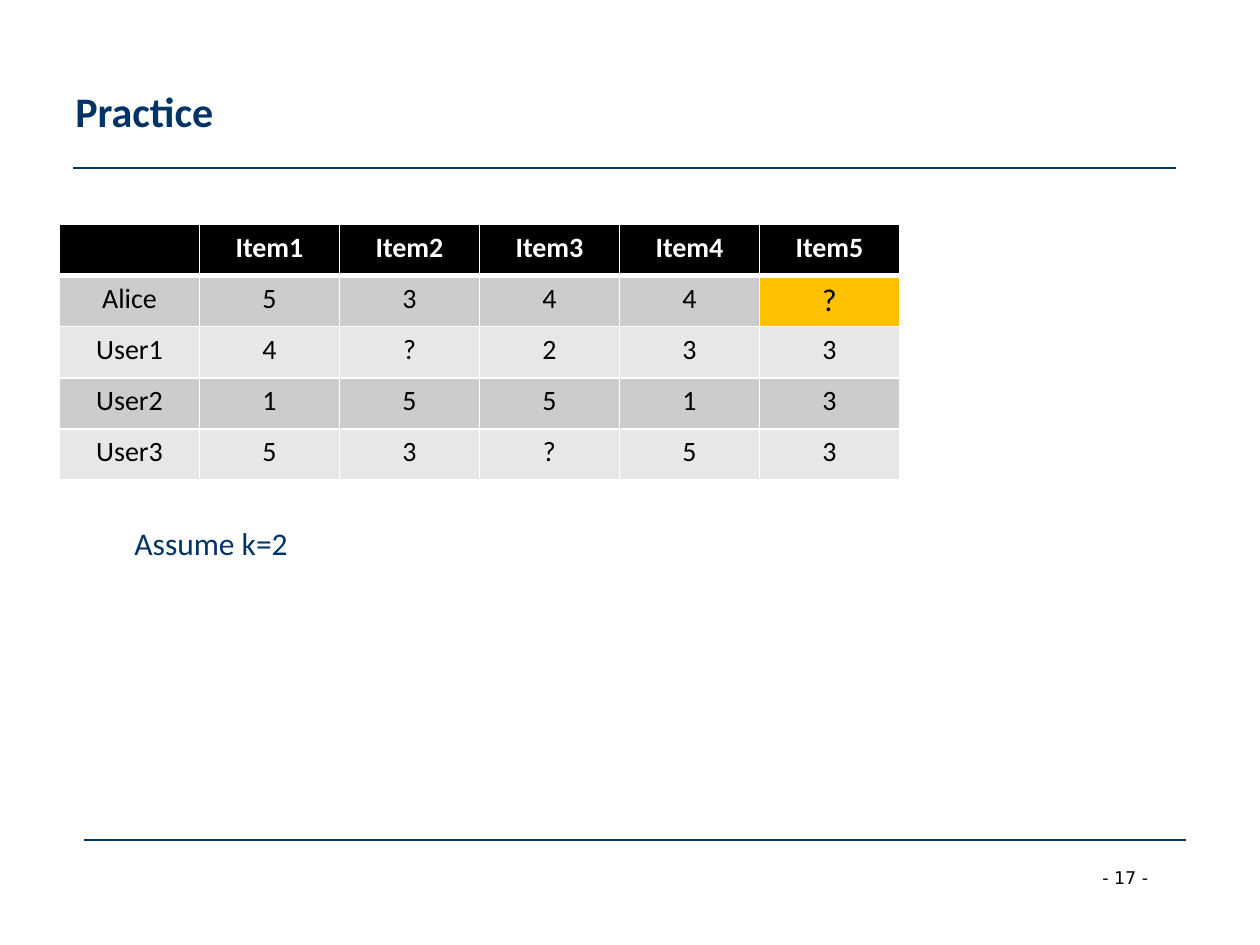
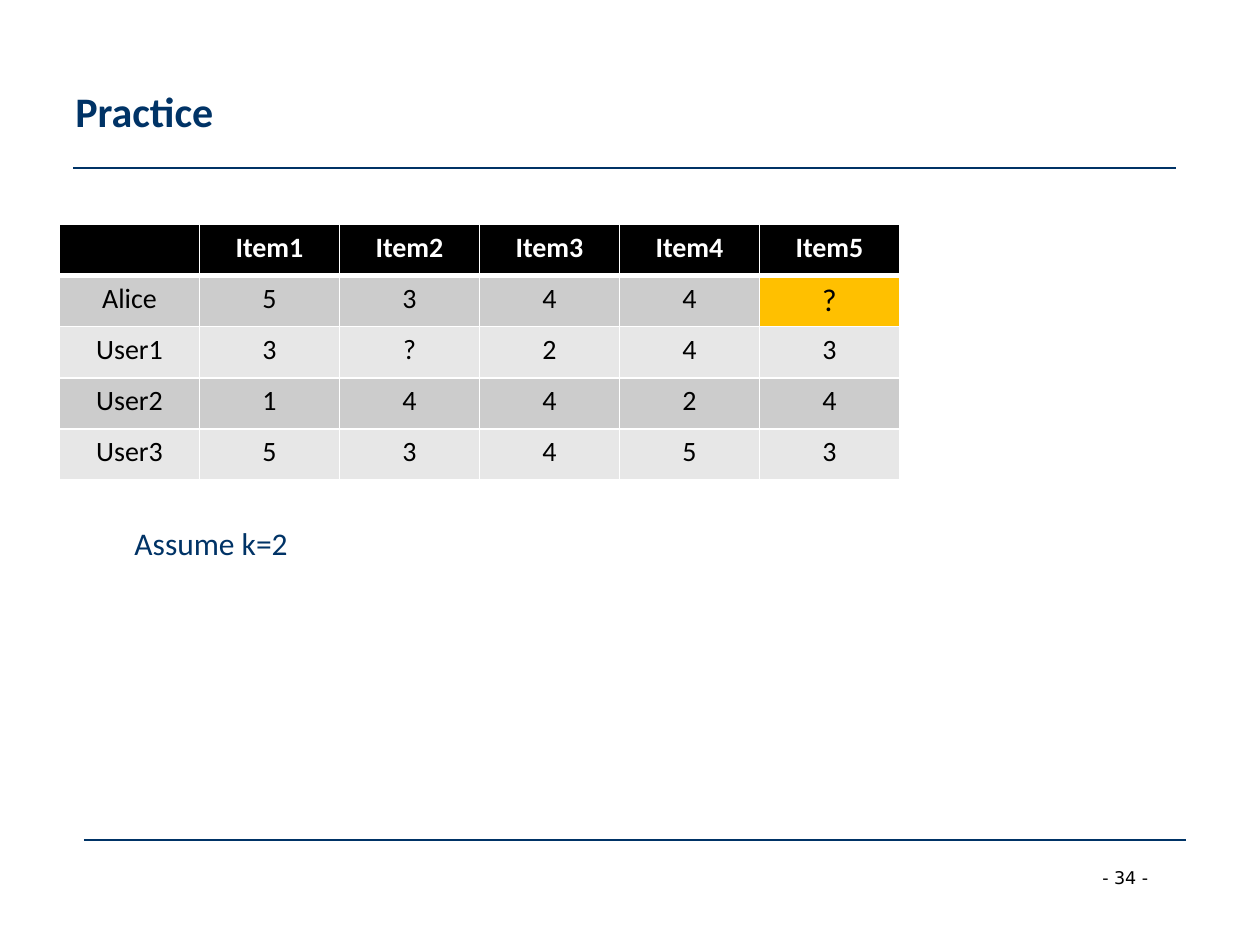
from lxml import etree
from pptx import Presentation
from pptx.dml.color import RGBColor
from pptx.enum.shapes import MSO_CONNECTOR
from pptx.enum.text import MSO_ANCHOR, PP_ALIGN
from pptx.oxml.ns import qn
from pptx.util import Pt

STRAIGHT = MSO_CONNECTOR.STRAIGHT
CENTER, LEFT = PP_ALIGN.CENTER, PP_ALIGN.LEFT
TOP, MIDDLE = MSO_ANCHOR.TOP, MSO_ANCHOR.MIDDLE

COLORS = {
    "navy": "003366",
    "black": "000000",
    "white": "FFFFFF",
    "dark_band": "CCCCCC",
    "light_band": "E7E7E7",
    "unknown": "FFC000",
}
BODY_FONT, NUMBER_FONT = "Calibri", "DejaVu Sans"

TITLE_BOX = (36, 18, 648, 90)
RATINGS_BOX = (34, 128.25, 480, 146.25)
NOTE_BOX = (69.8, 295.8, 612, 30)
NUMBER_BOX = (622.8, 491.8, 54.7, 19.4)
RULE_WIDTH = 630
RULE_STARTS = [(42, 96), (48, 480)]

ITEMS = ["", "Item1", "Item2", "Item3", "Item4", "Item5"]
ALICE = ["Alice", "5", "3", "4", "4", "?"]
PRACTICES = [
    (17, [
        ALICE,
        ["User1", "4", "?", "2", "3", "3"],
        ["User2", "1", "5", "5", "1", "3"],
        ["User3", "5", "3", "?", "5", "3"],
    ]),
    (34, [
        ALICE,
        ["User1", "3", "?", "2", "4", "3"],
        ["User2", "1", "4", "4", "2", "4"],
        ["User3", "5", "3", "4", "5", "3"],
    ]),
]


def rgb(color):
    return RGBColor.from_string(COLORS[color])


def write(frame, text, size=18, color="navy", bold=False, font=BODY_FONT, align=LEFT):
    paragraph = frame.paragraphs[0]
    paragraph.alignment = align
    run = paragraph.add_run()
    run.text = text
    run.font.size = Pt(size)
    run.font.name = font
    run.font.bold = bold
    run.font.color.rgb = rgb(color)


def add_label(slide, box, text, anchor=TOP, **text_format):
    frame = slide.shapes.add_textbox(*map(Pt, box)).text_frame
    frame.word_wrap = True
    frame.vertical_anchor = anchor
    write(frame, text, **text_format)


def add_rule(slide, left, top):
    rule = slide.shapes.add_connector(
        STRAIGHT, Pt(left), Pt(top), Pt(left + RULE_WIDTH), Pt(top))
    rule.line.color.rgb = rgb("navy")
    rule.line.width = Pt(0.75)
    etree.SubElement(rule.line._get_or_add_ln().getparent(), qn("a:effectLst"))


def add_frame(slide, title, number):
    for left, top in RULE_STARTS:
        add_rule(slide, left, top)
    add_label(slide, NUMBER_BOX, f"- {number} -", size=10, color="black", font=NUMBER_FONT)
    add_label(slide, TITLE_BOX, title, anchor=MIDDLE, size=24, bold=True)


def set_borders(cell, **widths):
    properties = cell._tc.get_or_add_tcPr()
    for side in "LRTB":
        width = Pt(widths.get(side, 1))
        border = etree.SubElement(properties, qn(f"a:ln{side}"), w=str(width))
        fill = etree.SubElement(border, qn("a:solidFill"))
        etree.SubElement(fill, qn("a:srgbClr"), val=COLORS["white"])


def style_cell(cell, text, fill, **text_format):
    cell.fill.solid()
    cell.fill.fore_color.rgb = rgb(fill)
    if text:
        write(cell.text_frame, text, align=CENTER, **text_format)


def add_ratings(slide, box, ratings):
    rows = [ITEMS] + ratings
    table = slide.shapes.add_table(len(rows), len(ITEMS), *map(Pt, box)).table
    for column in table.columns:
        column.width = Pt(box[2] / len(ITEMS))
    for row in table.rows:
        row.height = Pt(box[3] / len(rows))
    for r, values in enumerate(rows):
        band = "dark_band" if r % 2 else "light_band"
        for c, value in enumerate(values):
            cell = table.cell(r, c)
            if r == 0:
                set_borders(cell, B=3)
                style_cell(cell, value, "black", size=16, color="white", bold=True)
                continue
            set_borders(cell, T=3 if r == 1 else 1)
            if (r, c) == (1, len(ITEMS) - 1):
                style_cell(cell, value, "unknown", size=18, color="black")
            else:
                style_cell(cell, value, band, size=16, color="black")


def add_practice(deck, number, ratings):
    slide = deck.slides.add_slide(deck.slide_layouts[6])
    add_frame(slide, "Practice", number)
    add_label(slide, NOTE_BOX, "Assume k=2")
    add_ratings(slide, RATINGS_BOX, ratings)


def main():
    deck = Presentation()
    deck.slide_width, deck.slide_height = Pt(720), Pt(540)
    for number, ratings in PRACTICES:
        add_practice(deck, number, ratings)
    deck.save("out.pptx")


if __name__ == "__main__":
    main()
